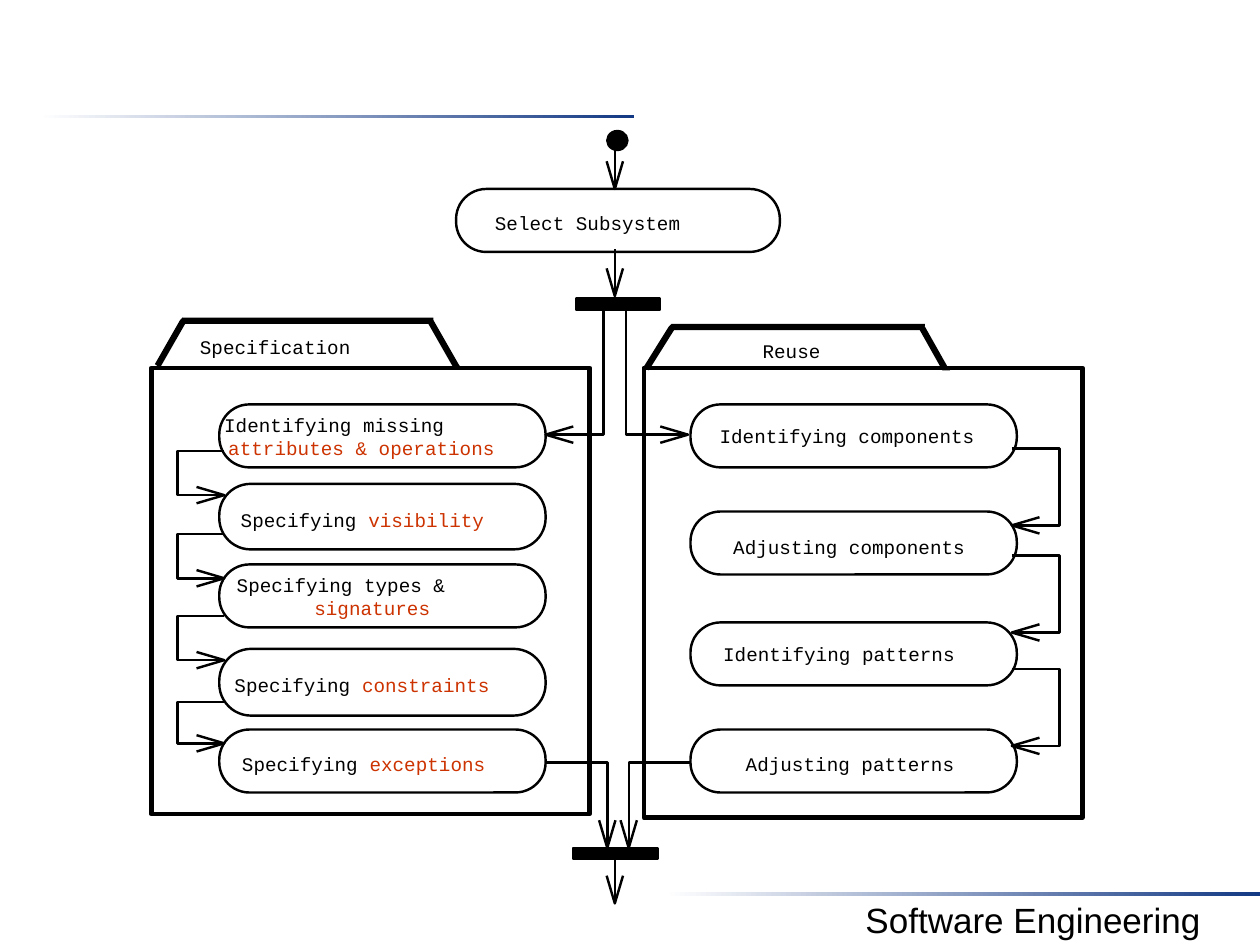
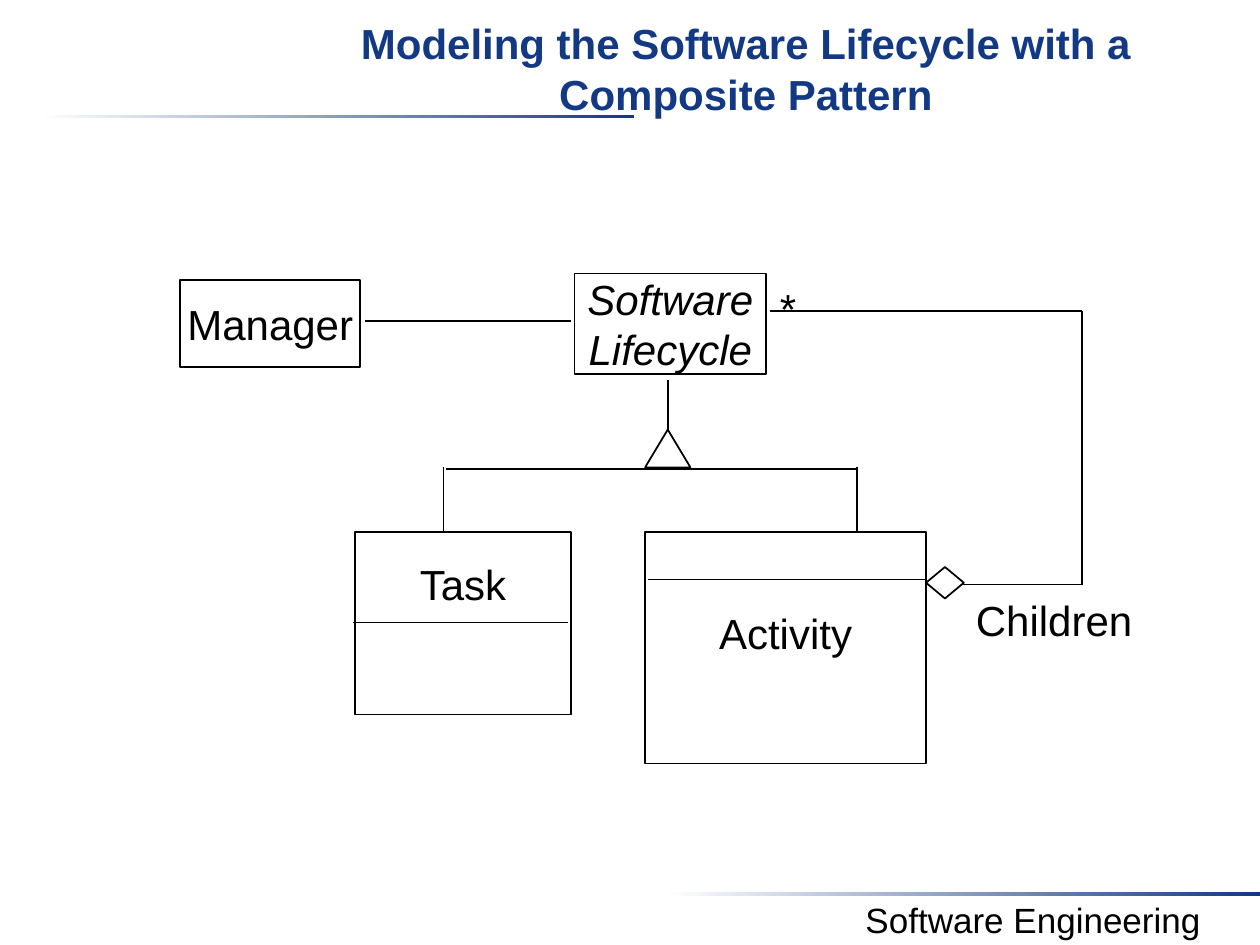
from math import hypot
from itertools import pairwise
from lxml.etree import SubElement
from pptx import Presentation
from pptx.dml.color import RGBColor
from pptx.enum.shapes import MSO_CONNECTOR, MSO_SHAPE
from pptx.enum.text import MSO_ANCHOR, PP_ALIGN
from pptx.oxml.ns import qn
from pptx.util import Inches, Pt

HUES = {"ink": "000000", "paper": "FFFFFF", "navy": "133984", "rust": "CC3300"}
SANS, MONO = "Arial", "Courier New"
THIN, FLOW, FRAME = 1, 1.38, 2.63
INSET = (0.1, 0.05, 0.1, 0.05)
STEP = (2.59, 0.5)


def hue(name):
    return RGBColor.from_string(HUES[name])


def paint(shape, fill=None, width=None):
    shape.shadow.inherit = False
    if fill:
        shape.fill.solid()
        shape.fill.fore_color.rgb = hue(fill)
    else:
        shape.fill.background()
    if width:
        shape.line.color.rgb = hue("ink")
        shape.line.width = Pt(width)
    else:
        shape.line.fill.background()
    return shape


def block(slide, kind, x, y, w, h, fill=None, width=None):
    shape = slide.shapes.add_shape(kind, Inches(x), Inches(y), Inches(w), Inches(h))
    return paint(shape, fill, width)


def rule(slide, start, end, width=THIN):
    ends = [Inches(n) for n in (*start, *end)]
    line = slide.shapes.add_connector(MSO_CONNECTOR.STRAIGHT, *ends)
    line.line.color.rgb = hue("ink")
    line.line.width = Pt(width)
    SubElement(line._element.spPr, qn("a:effectLst"))


def trace(slide, points, fill=None, width=None):
    first, *rest = [(Inches(x), Inches(y)) for x, y in points]
    form = slide.shapes.build_freeform(*first)
    form.add_line_segments(rest, close=bool(fill))
    return paint(form.convert_to_shape(), fill, width)


def write(shape, rows, size, font=SANS, inset=INSET, anchor=MSO_ANCHOR.TOP,
          wrap=False, bold=False, slant=False):
    frame = shape.text_frame
    frame.word_wrap = wrap
    frame.vertical_anchor = anchor
    (frame.margin_left, frame.margin_top,
     frame.margin_right, frame.margin_bottom) = map(Inches, inset)
    for i, row in enumerate(rows):
        para = frame.add_paragraph() if i else frame.paragraphs[0]
        para.alignment = PP_ALIGN.CENTER
        for text, tint in row:
            run = para.add_run()
            run.text = text
            run.font.name, run.font.size = font, Pt(size)
            run.font.bold, run.font.italic = bold, slant
            run.font.color.rgb = hue(tint)


def textbox(slide, x, y, w, h, row, size, **style):
    box = slide.shapes.add_textbox(Inches(x), Inches(y), Inches(w), Inches(h))
    write(box, [row], size, **style)


def label(slide, x, y, *row):
    count = sum(len(text) for text, tint in row)
    textbox(slide, x, y, 0.093 * count, 0.18, row, 11, font=MONO, inset=(0, 0, 0, 0))


def frame(slide):
    for x, y in ((0.31, 0.91), (5.28, 7.08)):
        band = block(slide, MSO_SHAPE.RECTANGLE, x, y, 4.72, 0.03)
        band.fill.gradient()
        band.fill.gradient_angle = 0
        for stop, place, tint in zip(band.fill.gradient_stops, (0, 1), ("paper", "navy")):
            stop.position = place
            stop.color.rgb = hue(tint)
    textbox(slide, 6.4, 7.08, 3.6, 0.44, [("Software Engineering", "ink")], 20, wrap=True)


def flow(slide, *points):
    if len(points) == 2:
        rule(slide, *points, FLOW)
    else:
        trace(slide, points, width=FLOW)
    (px, py), (x, y) = points[-2:]
    size = hypot(x - px, y - py)
    ux, uy = (x - px) / size, (y - py) / size
    bx, by = x - 0.22 * ux, y - 0.22 * uy
    dx, dy = -0.065 * uy, 0.065 * ux
    trace(slide, [(bx + dx, by + dy), (x, y), (bx - dx, by - dy)], width=FLOW)


def bypass(slide, x, y, reach, drop):
    flow(slide, (x, y), (x + reach, y), (x + reach, y + drop), (x, y + drop))


def state(slide, x, y, labels, w=STEP[0], h=STEP[1]):
    pill = block(slide, MSO_SHAPE.ROUNDED_RECTANGLE, x, y, w, h, width=FLOW)
    pill.adjustments[0] = 0.478
    for dx, dy, *row in labels:
        label(slide, x + dx, y + dy, *row)


def bar(slide, x, y):
    block(slide, MSO_SHAPE.RECTANGLE, x, y, 0.67, 0.09, "ink", FLOW)


def folder(slide, x, y, h, tab, rise, base, name, steps, inner):
    block(slide, MSO_SHAPE.RECTANGLE, x, y, 3.48, h, width=FRAME)
    foot, left, right, toe = [x + n for n in tab]
    top, base = y - rise, y + base
    edge, low = top + 0.02, top + 0.05
    trace(slide, [(foot, base - 0.03), (foot + 0.04, base), (left + 0.02, low),
                  (left, top), (left - 0.02, edge)], "ink")
    trace(slide, [(left, top), (left, low), (right - 0.02, low),
                  (right, edge), (right, top)], "ink")
    trace(slide, [(right, edge), (right - 0.04, low), (toe - 0.06, base),
                  (toe, base), (toe - 0.02, base - 0.03)], "ink")
    dx, dy, text = name
    label(slide, x + dx, y + dy, (text, "ink"))
    for drop, tall, labels in steps:
        state(slide, x + inner, y + drop, labels, h=tall)


def spec_part(slide, x, y):
    steps = [
        (0.29, 0.5, [(0.03, 0.07, ("Identifying missing", "ink")),
                     (0.06, 0.25, ("attributes & operations", "rust"))]),
        (0.92, 0.52, [(0.16, 0.19, ("Specifying ", "ink"), ("visibility", "rust"))]),
        (1.56, 0.5, [(0.13, 0.07, ("Specifying types &", "ink")),
                     (0.75, 0.25, ("signatures", "rust"))]),
        (2.23, 0.53, [(0.11, 0.19, ("Specifying ", "ink"), ("constraints", "rust"))]),
        (2.87, 0.5, [(0.17, 0.18, ("Specifying ", "ink"), ("exceptions", "rust"))]),
    ]
    folder(slide, x, y, 3.54, (0.03, 0.25, 2.24, 2.46), 0.4, 0,
           (0.38, -0.26, "Specification"), steps, 0.54)
    for drop, fall in ((0.66, 0.35), (1.32, 0.35), (1.97, 0.35), (2.65, 0.33)):
        bypass(slide, x + 0.58, y + drop, -0.37, fall)


def reuse_part(slide, x, y):
    names = [(0.29, 0.22, 0.16, "Identifying components"),
             (1.14, 0.33, 0.19, "Adjusting components"),
             (2.02, 0.25, 0.16, "Identifying patterns"),
             (2.87, 0.43, 0.18, "Adjusting patterns")]
    steps = [(drop, 0.5, [(dx, dy, (text, "ink"))]) for drop, dx, dy, text in names]
    folder(slide, x, y, 3.57, (0, 0.22, 2.23, 2.43), 0.35, 0.02,
           (0.94, -0.23, "Reuse"), steps, 0.37)
    for drop in (0.64, 1.49, 2.39):
        bypass(slide, x + 2.92, y + drop, 0.38, 0.61)


def forks(slide):
    block(slide, MSO_SHAPE.OVAL, 4.82, 1.04, 0.16, 0.15, "ink", FLOW)
    state(slide, 3.62, 1.5, [(0.3, 0.18, ("Select Subsystem", "ink"))], w=2.57)
    for top, end in ((1.13, 1.5), (1.98, 2.35), (6.82, 7.17)):
        flow(slide, (4.88, top), (4.88, end))
    bar(slide, 4.57, 2.37)
    bar(slide, 4.55, 6.73)
    for x, side in ((4.79, 4.33), (4.97, 5.46)):
        flow(slide, (x, 2.46), (x, 3.45), (side, 3.45))
    for side, x in ((4.33, 4.82), (5.48, 4.99)):
        flow(slide, (side, 6.05), (x, 6.05), (x, 6.73))


def process(deck):
    slide = deck.slides.add_slide(deck.slide_layouts[6])
    frame(slide)
    spec_part(slide, 1.2, 2.92)
    reuse_part(slide, 5.11, 2.92)
    forks(slide)


def entity(slide, x, y, w, h, lines, slant=False, top=None, split=None):
    box = block(slide, MSO_SHAPE.RECTANGLE, x, y, w, h, "paper", THIN)
    inset, anchor = INSET, MSO_ANCHOR.MIDDLE
    if top:
        inset, anchor = (0.1, top, 0.1, 0.05), MSO_ANCHOR.TOP
    write(box, [[(text, "ink")] for text in lines], 24,
          inset=inset, anchor=anchor, slant=slant)
    if split:
        dx, dy = split
        rule(slide, (x + dx, y + dy), (x + min(w, w + dx), y + dy))


def heading(slide, x, y, w, h, text):
    title = slide.shapes.title
    title.left, title.top, title.width, title.height = map(Inches, (x, y, w, h))
    write(title, [[(text, "navy")]], 24, inset=(0.1, 0.06, 0.1, 0.05),
          wrap=True, bold=True)


def pattern(deck):
    slide = deck.slides.add_slide(deck.slide_layouts[5])
    frame(slide)
    heading(slide, 2.17, 0.08, 7.5, 0.75,
            "Modeling the Software Lifecycle with a Composite Pattern")
    entity(slide, 1.43, 2.22, 1.43, 0.69, ["Manager"])
    entity(slide, 4.56, 2.17, 1.52, 0.8, ["Software", "Lifecycle"], slant=True)
    entity(slide, 2.82, 4.22, 1.71, 1.45, ["Task"], top=0.21, split=(-0.02, 0.72))
    entity(slide, 5.12, 4.22, 2.23, 1.84, ["Activity"], top=0.6, split=(0.02, 0.38))
    rule(slide, (2.9, 2.55), (4.53, 2.55))
    rule(slide, (5.3, 3.02), (5.3, 3.43))
    rule(slide, (3.54, 3.72), (6.79, 3.72))
    for x in (3.52, 6.8):
        rule(slide, (x, 3.71), (x, 4.22))
    for start, end in pairwise([(7.62, 4.64), (8.59, 4.64), (8.59, 2.47), (6.11, 2.47)]):
        rule(slide, start, end)
    block(slide, MSO_SHAPE.ISOSCELES_TRIANGLE, 5.12, 3.41, 0.36, 0.3, "paper", THIN)
    block(slide, MSO_SHAPE.DIAMOND, 7.35, 4.5, 0.3, 0.25, "paper", THIN)
    textbox(slide, 7.64, 4.67, 1.45, 0.5, [("Children", "ink")], 24)
    textbox(slide, 6.09, 2.19, 0.33, 0.5, [("*", "ink")], 24)


def main():
    deck = Presentation()
    deck.slide_width, deck.slide_height = Inches(10), Inches(7.5)
    process(deck)
    pattern(deck)
    deck.save("out.pptx")


if __name__ == "__main__":
    main()
